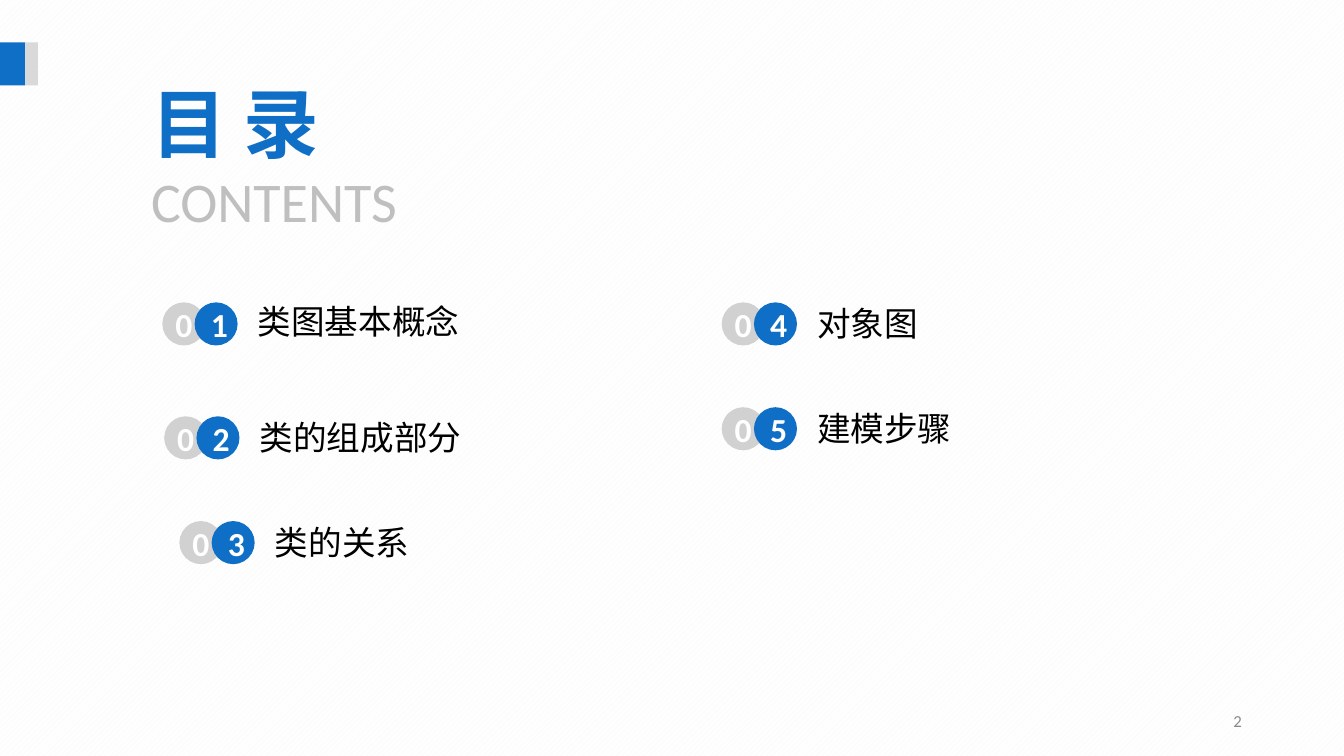
from dataclasses import dataclass

from lxml import etree
from pptx import Presentation
from pptx.dml.color import RGBColor
from pptx.enum.dml import MSO_PATTERN
from pptx.enum.shapes import MSO_SHAPE
from pptx.enum.text import MSO_ANCHOR, PP_ALIGN
from pptx.oxml.ns import qn
from pptx.util import Emu, Inches, Pt

RECT, DISC = MSO_SHAPE.RECTANGLE, MSO_SHAPE.OVAL
TOP, MIDDLE = MSO_ANCHOR.TOP, MSO_ANCHOR.MIDDLE
LEFT, CENTER, RIGHT = PP_ALIGN.LEFT, PP_ALIGN.CENTER, PP_ALIGN.RIGHT
STRIPES = MSO_PATTERN.WIDE_UPWARD_DIAGONAL

WIDE, HIGH = Inches(13.333), Inches(7.5)
HAN, LATIN = "Noto Sans CJK SC", "Calibri"
BLUE, WHITE, BLACK = "0F6FC6", "FFFFFF", "000000"
SILVER, PALE, GREY, DIM = "D1D1D1", "D9D9D9", "BFBFBF", "898989"
DISC_W, DISC_H, STEP = 3.2, 5.7, 2.4


@dataclass
class Box:
    x: float
    y: float
    w: float
    h: float

    def place(self) -> list[Emu]:
        return [Emu(round(size * share / 100)) for size, share in
                zip((WIDE, HIGH, WIDE, HIGH), (self.x, self.y, self.w, self.h))]


@dataclass
class Topic:
    x: float
    y: float
    digit: str
    name: str
    lead: float = 1.0


TOPICS = [
    Topic(12.08, 40, "1", "类图基本概念", 0.9),
    Topic(12.22, 55.07, "2", "类的组成部分"),
    Topic(13.35, 68.93, "3", "类的关系"),
    Topic(53.7, 40, "4", "对象图"),
    Topic(53.7, 53.87, "5", "建模步骤"),
]


def color(code: str) -> RGBColor:
    return RGBColor.from_string(code)


def write(shape, text: str, *, size: float = 24, font: str = LATIN,
          ink: str = WHITE, bold: bool = False, align=LEFT, anchor=MIDDLE,
          inset: float | None = None, lead: float = 1.0) -> None:
    frame = shape.text_frame
    frame.word_wrap = True
    frame.vertical_anchor = anchor
    if inset is not None:
        frame.margin_left = Inches(inset)
        frame.margin_right = frame.margin_top = frame.margin_bottom = 0
    line = frame.paragraphs[0]
    line.alignment, line.line_spacing = align, lead
    run = line.add_run()
    run.text = text
    face = run.font
    face.size, face.bold, face.name = Pt(size), bold, font
    face.color.rgb = color(ink)
    if font == HAN:
        etree.SubElement(run._r.get_or_add_rPr(), qn("a:ea"), typeface=font)


def draw(shapes, kind, box: Box, fill: str):
    shape = shapes.add_shape(kind, *box.place())
    shape.shadow.inherit = False
    shape.fill.solid()
    shape.fill.fore_color.rgb = color(fill)
    shape.line.fill.background()
    return shape


def label(shapes, box: Box, text: str, **style) -> None:
    write(shapes.add_textbox(*box.place()), text, **style)


def entry(shapes, topic: Topic) -> None:
    group = shapes.add_group_shape().shapes
    pairs = (("0", SILVER, 0), (topic.digit, BLUE, None))
    for i, (digit, fill, inset) in enumerate(pairs):
        box = Box(topic.x + i * STEP, topic.y, DISC_W, DISC_H)
        write(draw(group, DISC, box, fill), digit, bold=True,
              align=CENTER, inset=inset)
    box = Box(topic.x + STEP + DISC_W, topic.y - 1.6, 28.28, 8.8)
    label(group, box, topic.name, font=HAN, ink=BLACK, inset=0.2,
          lead=topic.lead)


def main() -> None:
    deck = Presentation()
    deck.slide_width, deck.slide_height = WIDE, HIGH
    slide = deck.slides.add_slide(deck.slide_layouts[6])
    ground = slide.background.fill
    ground.patterned()
    ground.pattern = STRIPES
    ground.fore_color.rgb = color("F9F9F9")
    ground.back_color.rgb = color("FEFEFE")

    shapes = slide.shapes
    mark = shapes.add_group_shape().shapes
    draw(mark, RECT, Box(0, 5.6, 1.88, 5.7), BLUE)
    draw(mark, RECT, Box(1.88, 5.6, 0.94, 5.7), PALE)
    label(shapes, Box(10.5, 9.47, 20.18, 13.47), "目 录", size=54, font=HAN,
          ink=BLUE, bold=True, anchor=TOP)
    label(shapes, Box(10.5, 21.33, 20.18, 10.27), "CONTENTS", size=40,
          ink=GREY, anchor=TOP)
    for topic in TOPICS:
        entry(shapes, topic)
    label(shapes, Box(70.65, 92.67, 22.5, 5.33), "2", size=12, ink=DIM,
          align=RIGHT)
    deck.save("out.pptx")


if __name__ == "__main__":
    main()
